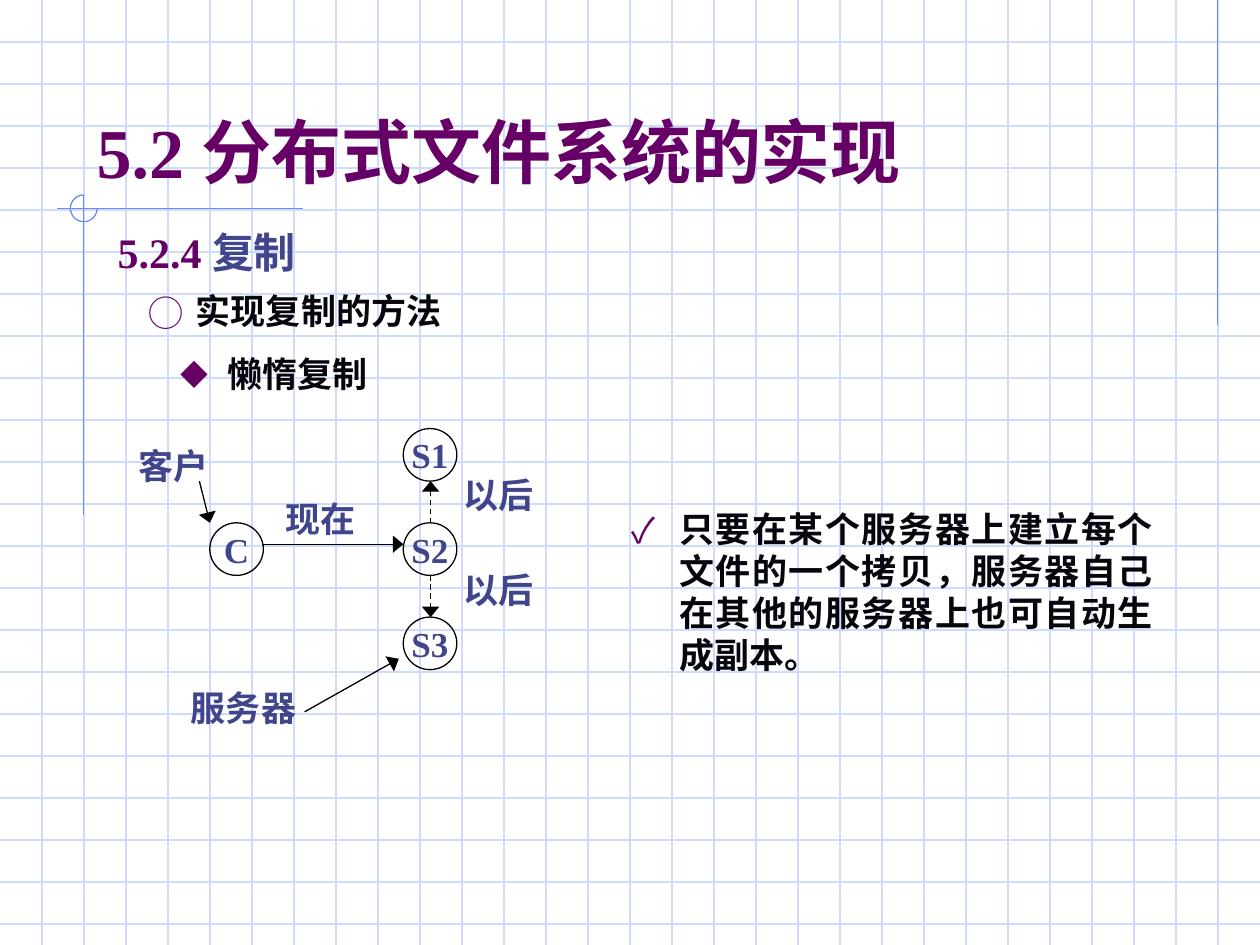
import pptx
import pptx.dml.color
import pptx.enum.dml
import pptx.enum.shapes
import pptx.enum.text
import pptx.oxml
import pptx.oxml.ns
import pptx.util

Cm = pptx.util.Cm
Shape = pptx.enum.shapes.MSO_SHAPE
Align = pptx.enum.text.PP_ALIGN
Anchor = pptx.enum.text.MSO_ANCHOR
Dash = pptx.enum.dml.MSO_LINE

WIDE, HIGH = 25.4, 19.05
HUES = {
    "grid": "CFDBFD",
    "rule": "6F89F7",
    "plum": "660066",
    "slate": "40458C",
    "ink": "06070E",
    "black": "000000",
}
SERIF, SANS, HAN = "Times New Roman", "Montserrat", "Noto Sans CJK SC"


def color(name):
    return pptx.dml.color.RGBColor.from_string(HUES[name])


def add_node(parent, tag, **attrs):
    """Append one DrawingML element and return it."""
    node = pptx.oxml.parse_xml(f"<a:{tag} {pptx.oxml.ns.nsdecls('a')}/>")
    for key, value in attrs.items():
        node.set(key, value)
    parent.append(node)
    return node


def write(para, text, size=20, hue="slate", font=SANS):
    """Add one bold run to a paragraph."""
    run = para.add_run()
    run.text = text
    run.font.size = pptx.util.Pt(size)
    run.font.bold = True
    run.font.name = font
    run.font.color.rgb = color(hue)
    add_node(run.font._element, "ea", typeface=HAN)


class Page:
    """Holds the slide and its line width."""

    def __init__(self, slide, weight=0.75):
        self.slide = slide
        self.weight = pptx.util.Pt(weight)

    def line(self, x1, y1, x2, y2, hue="black", dash=None, arrow=False):
        link = self.slide.shapes.add_connector(
            pptx.enum.shapes.MSO_CONNECTOR.STRAIGHT,
            Cm(x1), Cm(y1), Cm(x2), Cm(y2))
        link.line.color.rgb = color(hue)
        link.line.width = self.weight
        if dash:
            link.line.dash_style = dash
        if arrow:
            add_node(link.line._get_or_add_ln(), "tailEnd",
                     type="triangle", w="lg", len="med")
        add_node(link._element.spPr, "effectLst")

    def shape(self, kind, x, y, w, h, hue="black"):
        form = self.slide.shapes.add_shape(kind, Cm(x), Cm(y), Cm(w), Cm(h))
        form.shadow.inherit = False
        form.fill.background()
        form.line.color.rgb = color(hue)
        form.line.width = self.weight
        return form

    def circle(self, x, y, text):
        form = self.shape(Shape.OVAL, x, y, 1.08, 1.06)
        frame = form.text_frame
        frame.word_wrap = False
        frame.vertical_anchor = Anchor.MIDDLE
        para = frame.paragraphs[0]
        para.alignment = Align.CENTER
        para.space_before = pptx.util.Pt(5)
        write(para, text, font=SERIF)

    def text(self, x, y, w, h, *runs, before=12.5, align=Align.LEFT,
             anchor=Anchor.TOP, bullet=None, scale=100):
        """Each run is a pair: the text and a dict of its format."""
        box = self.slide.shapes.add_textbox(Cm(x), Cm(y), Cm(w), Cm(h))
        frame = box.text_frame
        frame.word_wrap = True
        frame.vertical_anchor = anchor
        para = frame.paragraphs[0]
        para.alignment = align
        para.space_before = pptx.util.Pt(before)
        if bullet:
            props = para._p.get_or_add_pPr()
            props.set("marL", str(Cm(0.95)))
            props.set("indent", str(-Cm(0.95)))
            add_node(add_node(props, "buClr"), "srgbClr", val=HUES["plum"])
            add_node(props, "buSzPct", val=str(scale * 1000))
            add_node(props, "buFont", typeface=HAN)
            add_node(props, "buChar", char=bullet)
        for text, form in runs:
            write(para, text, **form)


def main():
    deck = pptx.Presentation()
    deck.slide_width, deck.slide_height = Cm(WIDE), Cm(HIGH)
    page = Page(deck.slides.add_slide(deck.slide_layouts[6]))

    # Background grid
    step = WIDE / 30
    for row in range(1, 23):
        page.line(0, row * step, WIDE, row * step, hue="grid")
    for col in range(1, 30):
        page.line(col * step, 0, col * step, HIGH, hue="grid")

    # Corner rules and open ring
    page.line(24.55, 0, 24.55, 6.55, hue="rule")
    page.line(6.1, 4.21, 1.14, 4.21, hue="rule")
    page.line(1.69, 3.93, 1.69, 10.39, hue="rule")
    ring = page.shape(Shape.ARC, 1.42, 3.93, 0.54, 0.54, hue="rule")
    ring.adjustments[0], ring.adjustments[1] = 0, 162

    # Title and headings
    plum = {"hue": "plum", "font": SERIF}
    page.text(1.7, 0.82, 21.59, 3.18,
              ("5.2 ", {"size": 40, **plum}),
              ("分布式文件系统的实现", {"size": 40, "hue": "plum", "font": HAN}),
              before=0, anchor=Anchor.BOTTOM)
    page.text(2.12, 4.45, 22.23, 1.3,
              ("5.2.4 ", {"size": 24, **plum}), ("复制", {"size": 24}),
              before=6, align=Align.JUSTIFY)

    # Bulleted points
    points = [
        (2.75, 5.72, 20.96, 1.12, "◯", 100, 5, "实现复制的方法"),
        (3.39, 6.99, 20.32, 1.12, "◆", 80, 5, "懒惰复制"),
        (12.49, 10.11, 11, 3.66, "✓", 100, 12.5,
         "只要在某个服务器上建立每个文件的一个拷贝，"
         "服务器自己在其他的服务器上也可自动生成副本。"),
    ]
    for x, y, w, h, mark, scale, gap, text in points:
        page.text(x, y, w, h, (text, {"hue": "ink"}), before=gap,
                  align=Align.JUSTIFY, bullet=mark, scale=scale)

    # Client and servers
    page.circle(4.23, 10.54, "C")
    for i in range(3):
        page.circle(8.13, 8.64 + 1.9 * i, f"S{i + 1}")

    # Arrows
    page.line(5.29, 10.97, 8.13, 10.97, arrow=True)
    page.line(8.68, 10.54, 8.68, 9.7, dash=Dash.DASH, arrow=True)
    page.line(8.68, 11.6, 8.68, 12.44, dash=Dash.DASH, arrow=True)
    page.line(6.14, 14.35, 8.04, 13.28, arrow=True)
    page.line(4.02, 9.7, 4.23, 10.54, arrow=True)

    # Labels
    labels = [
        (3.6, 13.72, 3.18, "服务器"),
        (5.5, 9.91, 2.12, "现在"),
        (9.1, 9.42, 2.12, "以后"),
        (9.1, 11.33, 2.12, "以后"),
        (2.54, 8.84, 2.12, "客户"),
    ]
    for x, y, w, text in labels:
        page.text(x, y, w, 1.12, (text, {}))

    deck.save("out.pptx")


if __name__ == "__main__":
    main()
